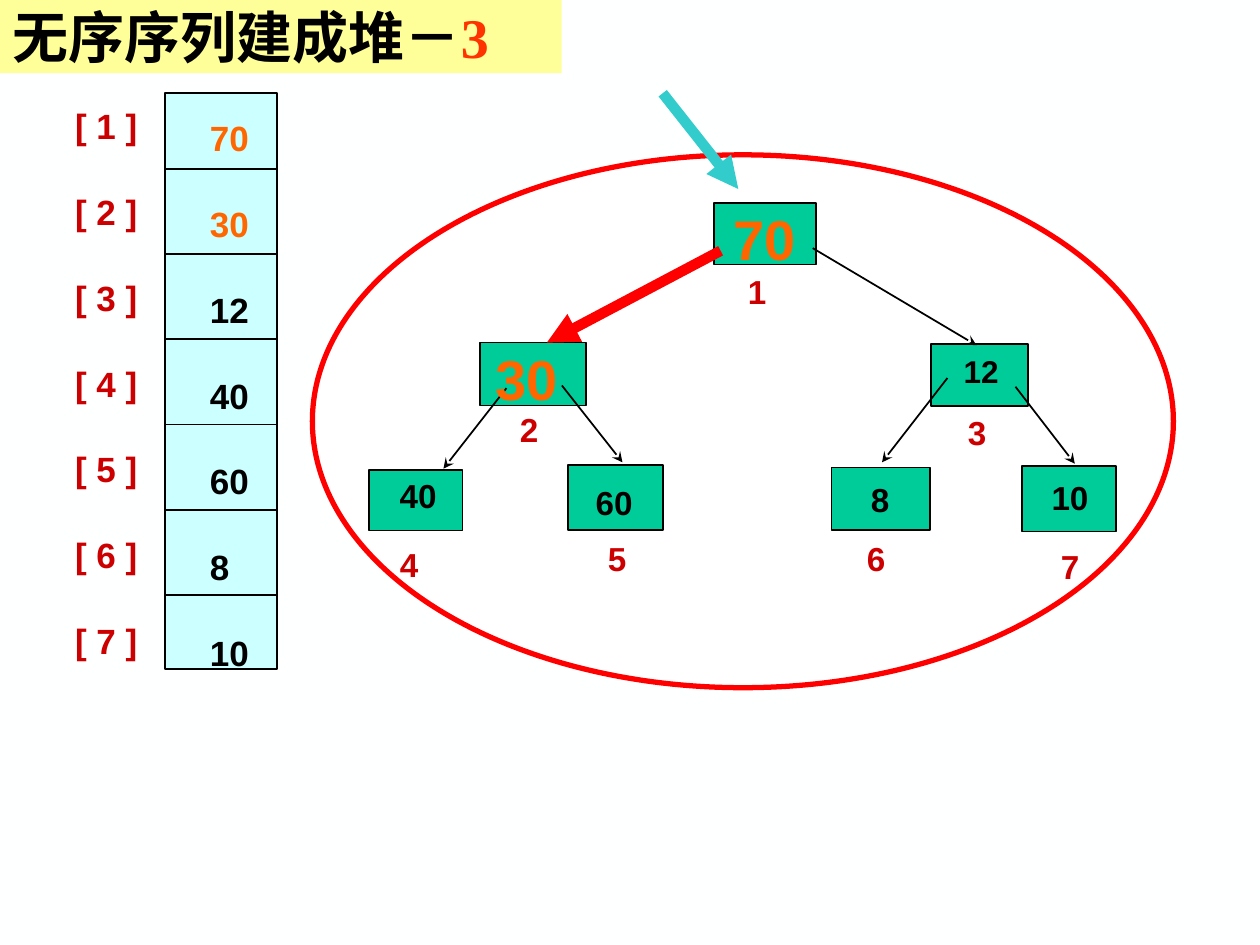
from dataclasses import dataclass

from lxml.etree import SubElement
from pptx import Presentation
from pptx.dml.color import RGBColor
from pptx.enum.shapes import MSO_CONNECTOR, MSO_SHAPE
from pptx.enum.text import MSO_ANCHOR, PP_ALIGN
from pptx.oxml.ns import qn
from pptx.util import Pt


@dataclass(frozen=True)
class Theme:
    background: str = "FEFFFF"
    ink: str = "000000"
    title_fill: str = "FFFF99"
    step: str = "FF3300"
    cell: str = "CCFFFF"
    node: str = "00CC99"
    ring_fill: str = "FFFFFF"
    red: str = "FF0000"
    pointer: str = "33CCCC"
    index: str = "CC0000"
    swapped: str = "FF6600"
    font: str = "Arial"
    title_font: str = "Times New Roman"
    large: float = 32
    array_size: float = 20
    node_size: float = 19
    small_size: float = 18


THEME = Theme()
KEYS = [70, 30, 12, 40, 60, 8, 10]
SWAPPED = {1, 2}

# Per node: box, centre of the key, centre of the index, key size
NODES = [
    ((229.7, 27.4, 58.3, 35.3), (258.6, 47.5), (254.1, 77.8), THEME.large),
    ((95.8, 107.3, 60.5, 36), (122.6, 127.5), (123.8, 156.6), THEME.large),
    ((353.6, 108.1, 55.4, 35.3), (382.1, 123.5), (379.8, 158.4), THEME.small_size),
    ((32.5, 180.1, 53.3, 34.6), (60.4, 194.4), (55.2, 233.8), THEME.node_size),
    ((146.2, 177.2, 54, 37.4), (172.4, 198.4), (174.1, 230.4), THEME.node_size),
    ((296.7, 178.6, 56.2, 36), (324.4, 196.6), (322.1, 230.4), THEME.node_size),
    ((405.4, 177.9, 54, 37.4), (432.9, 195.5), (432.9, 234.9), THEME.node_size),
]
# Parent to child, in level order
EDGES = [
    ((285.9, 53.3), (379.5, 108.8)),
    ((110.9, 133.3), (74.9, 179.3)),
    ((142.6, 131.8), (177.2, 175.7)),
    ((362.9, 127.5), (325.5, 175.7)),
    ((401.8, 132.5), (435.7, 176.5)),
]
SWAP_EDGE = ((233.3, 54.8), (134, 107.3))
POINTER = ((200.2, -35.2), (243.4, 19.5))


def key_color(position):
    return THEME.swapped if position in SWAPPED else THEME.ink


def add_text(slide, box, paragraphs, size, font=THEME.font, align=PP_ALIGN.LEFT,
             anchor=MSO_ANCHOR.MIDDLE, gap=0, inset=0):
    """Each paragraph is a list of (text, colour) runs."""
    frame = slide.shapes.add_textbox(*map(Pt, box)).text_frame
    frame.word_wrap = True
    frame.vertical_anchor = anchor
    frame.margin_left = frame.margin_right = Pt(inset)
    frame.margin_top = frame.margin_bottom = 0
    for number, runs in enumerate(paragraphs):
        paragraph = frame.add_paragraph() if number else frame.paragraphs[0]
        paragraph.alignment = align
        paragraph.space_after = Pt(gap)
        for text, color in runs:
            run = paragraph.add_run()
            run.text = text
            run.font.name = font
            run.font.size = Pt(size)
            run.font.bold = True
            run.font.color.rgb = RGBColor.from_string(color)


def add_label(slide, center, text, size, color):
    x, y = center
    add_text(slide, (x - 30, y - 20, 60, 40), [[(text, color)]], size,
             align=PP_ALIGN.CENTER)


def add_block(slide, preset, box, fill, line=None, weight=1):
    block = slide.shapes.add_shape(preset, *map(Pt, box))
    block.shadow.inherit = False
    block.fill.solid()
    block.fill.fore_color.rgb = RGBColor.from_string(fill)
    if line:
        block.line.color.rgb = RGBColor.from_string(line)
        block.line.width = Pt(weight)
    else:
        block.line.fill.background()


def add_line(slide, start, end, color=THEME.ink, weight=1, arrow=None):
    connector = slide.shapes.add_connector(
        MSO_CONNECTOR.STRAIGHT, *map(Pt, (*start, *end)))
    connector.line.color.rgb = RGBColor.from_string(color)
    connector.line.width = Pt(weight)
    if arrow:
        SubElement(connector.line._get_or_add_ln(), qn("a:tailEnd"), type=arrow)
    SubElement(connector._element.spPr, qn("a:effectLst"))


def add_title(slide, box):
    add_block(slide, MSO_SHAPE.RECTANGLE, box, THEME.title_fill)
    add_text(slide, box, [[("无序序列建成堆－", THEME.ink), ("3", THEME.step)]],
             THEME.large, font=THEME.title_font, inset=7.2)


def add_array(slide, box):
    left, top, width, height = box
    add_block(slide, MSO_SHAPE.RECTANGLE, box, THEME.cell, THEME.ink)
    # Rules between the cells
    for row in range(len(KEYS) - 1):
        y = top + 43.2 + row * 48.7
        add_line(slide, (left, y), (left + width, y))
    # Indices beside the cells, keys inside them
    column = dict(size=THEME.array_size, anchor=MSO_ANCHOR.TOP, gap=25)
    indices = [[(f"[ {i} ]", THEME.index)] for i in range(1, len(KEYS) + 1)]
    keys = [[(str(key), key_color(i))] for i, key in enumerate(KEYS, 1)]
    add_text(slide, (left - 51.4, top + 6.6, 45, height), indices, **column)
    add_text(slide, (left + 25.7, top + 13.5, 36, height), keys, **column)


def add_heap(slide, box):
    left, top, _, _ = box

    def place(point):
        return left + point[0], top + point[1]

    add_block(slide, MSO_SHAPE.OVAL, box, THEME.ring_fill, THEME.red, 3)
    # Nodes
    for node, _, _, _ in NODES:
        add_block(slide, MSO_SHAPE.RECTANGLE, (*place(node), *node[2:]),
                  THEME.node, THEME.ink)
    # Edges
    for parent, child in EDGES:
        add_line(slide, place(parent), place(child), arrow="stealth")
    # Keys and indices
    for i, (key, (_, key_at, index_at, size)) in enumerate(zip(KEYS, NODES), 1):
        add_label(slide, place(key_at), str(key), size, key_color(i))
        add_label(slide, place(index_at), str(i), THEME.node_size, THEME.index)
    # Pointer to the root and the swapped edge
    for (start, end), color in ((POINTER, THEME.pointer), (SWAP_EDGE, THEME.red)):
        add_line(slide, place(start), place(end), color, 6, "triangle")


def main():
    deck = Presentation()
    deck.slide_width, deck.slide_height = Pt(720), Pt(540)
    slide = deck.slides.add_slide(deck.slide_layouts[6])
    slide.background.fill.solid()
    slide.background.fill.fore_color.rgb = RGBColor.from_string(THEME.background)
    add_heap(slide, (178.5, 88.5, 492, 304.5))
    add_array(slide, (94.3, 53.3, 64, 329))
    add_title(slide, (0, 0, 321, 41.8))
    deck.save("out.pptx")


if __name__ == "__main__":
    main()
